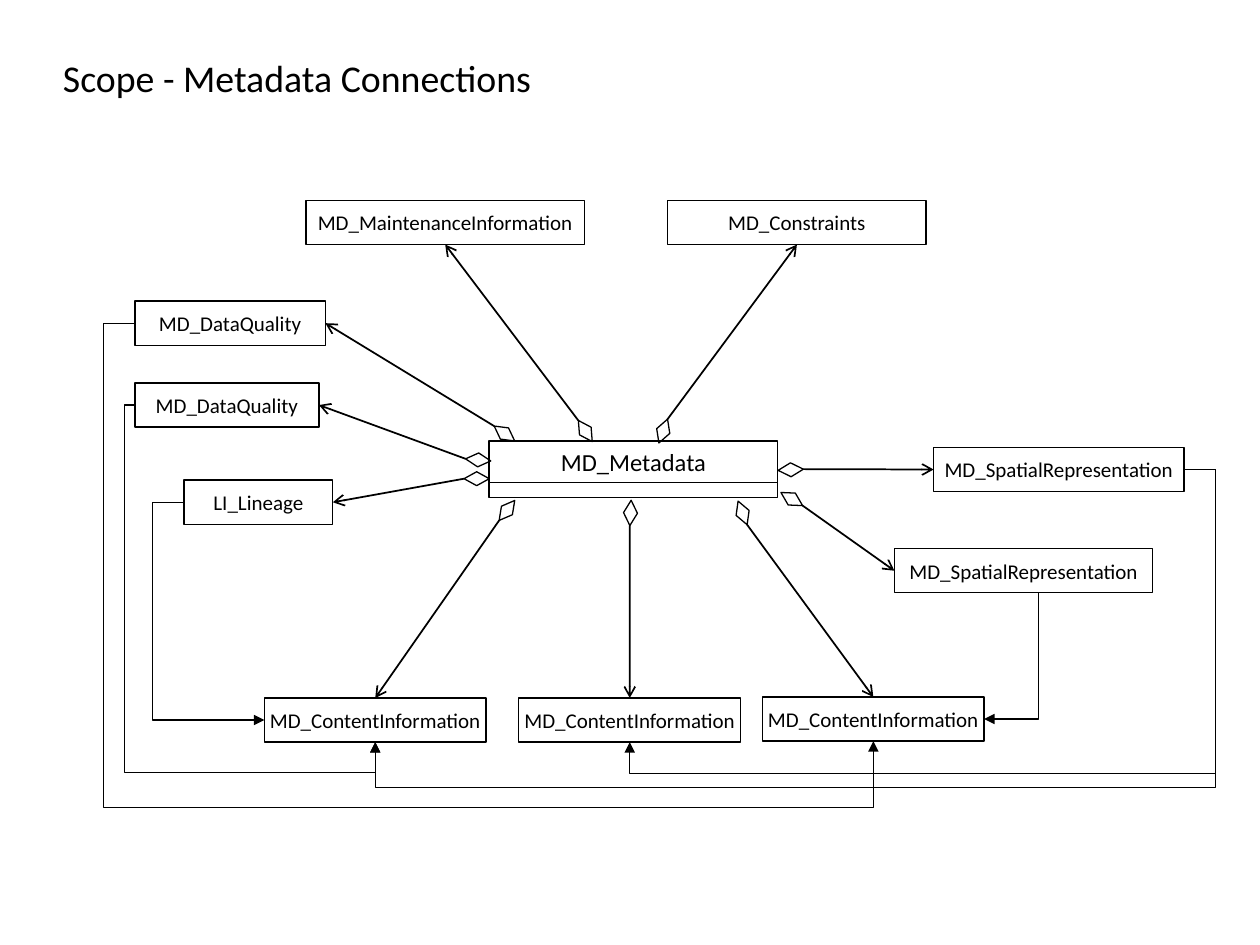
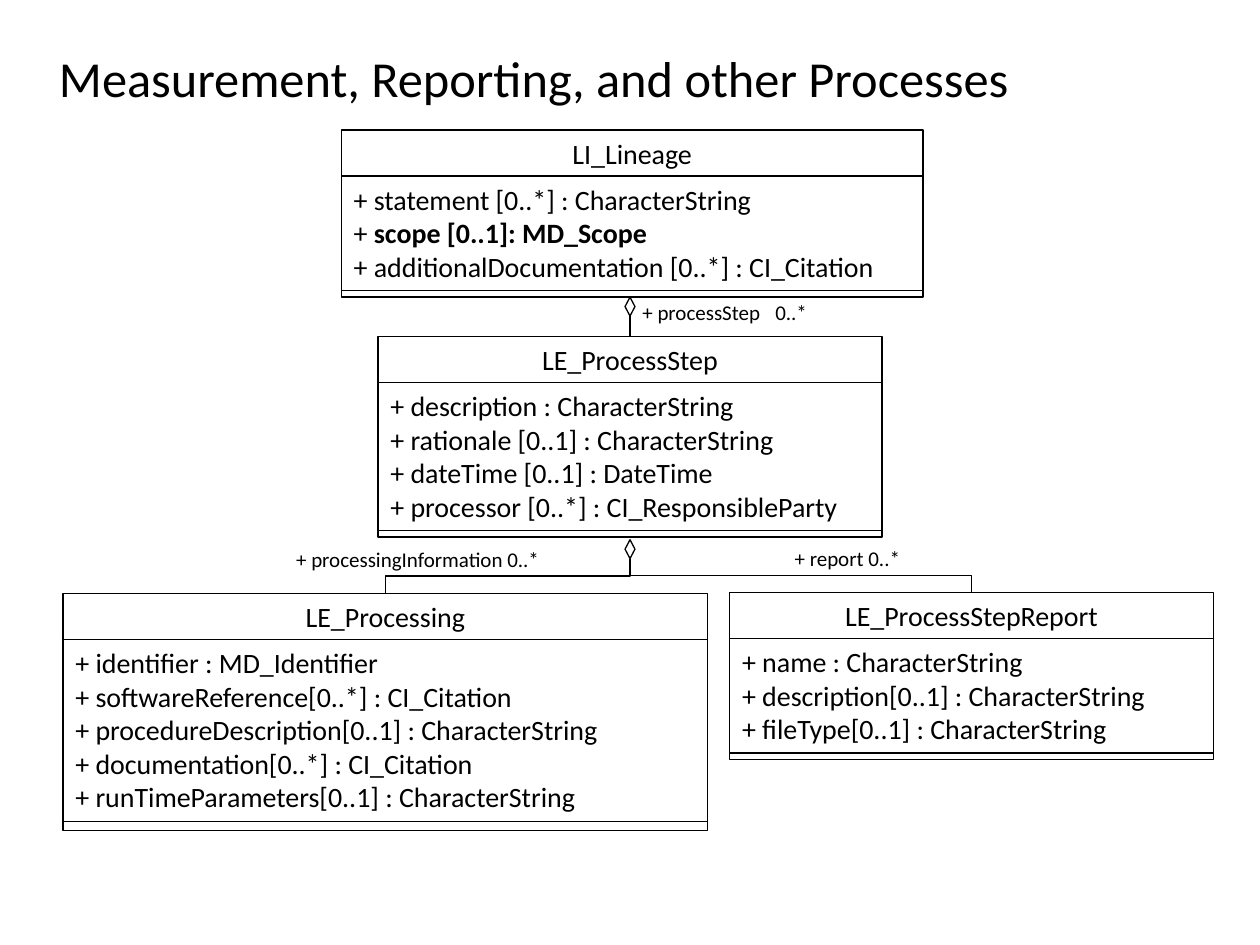
from dataclasses import dataclass
from math import cos, radians, sin

from pptx import Presentation
from pptx.dml.color import RGBColor
from pptx.enum.shapes import MSO_CONNECTOR, MSO_SHAPE
from pptx.enum.text import MSO_ANCHOR, PP_ALIGN
from pptx.oxml.ns import qn
from pptx.util import Cm, Pt

RECT, DIAMOND = MSO_SHAPE.RECTANGLE, MSO_SHAPE.DIAMOND
STRAIGHT, ELBOW = MSO_CONNECTOR.STRAIGHT, MSO_CONNECTOR.ELBOW
TOP, MIDDLE = MSO_ANCHOR.TOP, MSO_ANCHOR.MIDDLE
LEFT, CENTER = PP_ALIGN.LEFT, PP_ALIGN.CENTER

FONT = "Calibri"
BLACK = "000000"
THIN, MEDIUM = 0.75, 1
# Connection sites of a rectangle
N, W, S, E = range(4)

Point = tuple[float, float]


# Lengths in the dataclasses are centimetres
@dataclass
class Box:
    left: float
    top: float
    width: float
    height: float = 0.89
    text: str = ""

    def side(self, site: int) -> Point:
        mid_x, mid_y = self.left + self.width / 2, self.top + self.height / 2
        return {N: (mid_x, self.top), W: (self.left, mid_y),
                S: (mid_x, self.top + self.height),
                E: (self.left + self.width, mid_y)}[site]


@dataclass
class Spoke:
    """Diamond at the hub, with an arrow from its tip to a box side."""
    x: float
    y: float
    angle: float
    target: str
    site: int


@dataclass
class Route:
    """Bent arrow; via_x and via_y place its middle segments."""
    start: str
    start_site: int
    end: str
    end_site: int
    via_x: float
    via_y: float | None = None


@dataclass
class UmlClass:
    left: float
    top: float
    width: float
    name: str
    attributes: list[str]
    foot: float = 0.13
    bold: str = ""


@dataclass
class Label:
    left: float
    top: float
    width: float
    height: float
    text: str
    line_spacing: float = 1.0
    tab: float = 0


# Shared helpers
def rgb(color: str) -> RGBColor:
    return RGBColor.from_string(color)


def add_run(p, text: str, size: float, bold: bool = False) -> None:
    r = p.add_run()
    r.text = text
    r.font.name, r.font.size, r.font.bold = FONT, Pt(size), bold
    r.font.color.rgb = rgb(BLACK)


def outline(line, width: float) -> None:
    line.color.rgb = rgb(BLACK)
    line.width = Pt(width)


def add_outlined(shapes, kind, box: Box):
    sp = shapes.add_shape(kind, Cm(box.left), Cm(box.top), Cm(box.width), Cm(box.height))
    sp.shadow.inherit = False
    sp.fill.background()
    outline(sp.line, THIN)
    return sp


def add_box(shapes, box: Box, size: float = 12, anchor=MIDDLE, wrap: bool = False):
    sp = add_outlined(shapes, RECT, box)
    if box.text:
        tf = sp.text_frame
        tf.word_wrap, tf.vertical_anchor = wrap, anchor
        p = tf.paragraphs[0]
        p.alignment = CENTER
        add_run(p, box.text, size)
    return sp


def add_diamond(s, x: float, y: float, width: float, height: float, angle: float = 0) -> Point:
    """Draw a diamond around its centre and return its tip."""
    sp = add_outlined(s.shapes, DIAMOND, Box(x - width / 2, y - height / 2, width, height))
    sp.rotation = angle
    turn = radians(angle)
    return x + height / 2 * sin(turn), y - height / 2 * cos(turn)


def add_line(s, kind, start: Point, end: Point, width: float, head: str = "", tail: str = ""):
    c = s.shapes.add_connector(kind, *(Cm(v) for v in (*start, *end)))
    outline(c.line, width)
    ln = c.line._get_or_add_ln()
    for tag, arrow in (("a:headEnd", head), ("a:tailEnd", tail)):
        if arrow:
            mark = ln.makeelement(qn(tag), {"type": arrow})
            ln.append(mark)
    sp_pr = c._element.spPr
    sp_pr.append(sp_pr.makeelement(qn("a:effectLst"), {}))
    return c


def bend(c, preset: str, *adjustments: float) -> None:
    geom = c._element.spPr.find(qn("a:prstGeom"))
    geom.set("prst", preset)
    guides = geom.find(qn("a:avLst"))
    for i, value in enumerate(adjustments, 1):
        guide = guides.makeelement(
            qn("a:gd"), {"name": f"adj{i}", "fmla": f"val {round(value * 100000)}"})
        guides.append(guide)


def add_route(s, boxes: dict[str, Box], route: Route) -> None:
    start = boxes[route.start].side(route.start_site)
    end = boxes[route.end].side(route.end_site)
    c = add_line(s, ELBOW, start, end, THIN, tail="triangle")
    adj_x = (route.via_x - start[0]) / (end[0] - start[0])
    if route.via_y is None:
        bend(c, "bentConnector3", adj_x)
    else:
        bend(c, "bentConnector4", adj_x, (route.via_y - start[1]) / (end[1] - start[1]))


def add_branch(s, start: Point, end: Point) -> None:
    """Bent line that leaves and arrives vertically: a quarter-turned elbow."""
    mid_x, mid_y = (start[0] + end[0]) / 2, (start[1] + end[1]) / 2
    half_x, half_y = (end[0] - start[0]) / 2, (end[1] - start[1]) / 2
    c = add_line(s, ELBOW, (mid_x - half_y, mid_y + half_x),
                 (mid_x + half_y, mid_y - half_x), MEDIUM)
    bend(c, "bentConnector3", 0.5)
    c._element.spPr.find(qn("a:xfrm")).set("rot", str(90 * 60000))


def add_text_box(s, left: float, top: float, width: float, height: float):
    tf = s.shapes.add_textbox(Cm(left), Cm(top), Cm(width), Cm(height)).text_frame
    tf.word_wrap = True
    return tf


def add_title(s, text: str, box: Box, size: float) -> None:
    tf = add_text_box(s, box.left, box.top, box.width, box.height)
    tf.vertical_anchor = MIDDLE
    add_run(tf.paragraphs[0], text, size)


def add_label(s, label: Label) -> None:
    tf = add_text_box(s, label.left, label.top, label.width, label.height)
    p = tf.paragraphs[0]
    p.line_spacing = label.line_spacing
    if label.tab:
        p_pr = p._p.get_or_add_pPr()
        tabs = p_pr.makeelement(qn("a:tabLst"), {})
        tabs.append(tabs.makeelement(qn("a:tab"), {"pos": str(Cm(label.tab)), "algn": "l"}))
        p_pr.append(tabs)
    add_run(p, label.text, 12)


def add_class(s, uml: UmlClass):
    """Draw header, attribute and foot compartments; return the header."""
    shapes = s.shapes.add_group_shape().shapes
    header = Box(uml.left, uml.top, uml.width, 0.93, uml.name)
    body = Box(uml.left, uml.top + header.height, uml.width, 0.27 + 0.68 * len(uml.attributes))
    foot = Box(uml.left, body.top + body.height, uml.width, uml.foot)
    header_shape = add_box(shapes, header, 16, TOP, True)
    tf = add_box(shapes, body).text_frame
    tf.word_wrap, tf.vertical_anchor = True, TOP
    for i, attribute in enumerate(uml.attributes):
        p = tf.add_paragraph() if i else tf.paragraphs[0]
        p.alignment = LEFT
        add_run(p, "+ ", 16)
        add_run(p, attribute, 16, attribute == uml.bold)
    add_box(shapes, foot)
    return header_shape


# Slide 1: classes around MD_Metadata
CONTENT, SPATIAL, QUALITY = "MD_ContentInformation", "MD_SpatialRepresentation", "MD_DataQuality"
BOXES = {
    "maintenance": Box(6.17, 4.04, 5.61, text="MD_MaintenanceInformation"),
    "constraints": Box(13.46, 4.04, 5.21, text="MD_Constraints"),
    "quality_upper": Box(2.72, 6.07, 3.84, text=QUALITY),
    "quality_lower": Box(2.72, 7.72, 3.71, text=QUALITY),
    "lineage": Box(3.71, 9.68, 3, text="LI_Lineage"),
    "spatial_upper": Box(18.82, 9.02, 5.05, text=SPATIAL),
    "spatial_lower": Box(18.03, 11.06, 5.21, text=SPATIAL),
    "content_left": Box(5.33, 14.07, 4.47, text=CONTENT),
    "content_middle": Box(10.46, 14.07, 4.47, text=CONTENT),
    "content_right": Box(15.37, 14.05, 4.47, text=CONTENT),
}
SPOKES = [
    Spoke(15.94, 9.47, 87.2, "spatial_upper", W),
    Spoke(11.8, 8.69, 326.6, "maintenance", S),
    Spoke(15.96, 10.06, 121.1, "spatial_lower", W),
    Spoke(14.97, 10.34, 159, "content_right", N),
    Spoke(12.71, 10.34, 183, "content_middle", N),
    Spoke(10.22, 10.29, 218, "content_left", N),
    Spoke(9.61, 9.65, 270, "lineage", E),
    Spoke(10.17, 8.74, 306, "quality_upper", E),
    Spoke(9.64, 9.27, 274.7, "quality_lower", E),
    Spoke(13.37, 8.69, 20, "constraints", S),
]
ROUTES = [
    Route("spatial_upper", E, "content_middle", S, 24.51, 15.6),
    Route("spatial_upper", E, "content_left", S, 24.51, 15.88),
    Route("quality_upper", W, "content_right", S, 2.08, 16.28),
    Route("quality_lower", W, "content_left", S, 2.51, 15.57),
    Route("lineage", W, "content_left", W, 3.07),
]


def build_connections(s) -> None:
    add_title(s, "Scope - Metadata Connections", Box(1.02, 1.07, 16.31, 0.97), 21.6)
    drawn = {key: add_box(s.shapes, box) for key, box in BOXES.items()}

    # Hub with two compartments
    hub = s.shapes.add_group_shape().shapes
    add_box(hub, Box(9.86, 8.89, 5.82, 0.84, "MD_Metadata"), 14, TOP, True)
    add_box(hub, Box(9.86, 9.73, 5.82, 0.3))

    for spoke in SPOKES:
        tip = add_diamond(s, spoke.x, spoke.y, 0.28, 0.51, spoke.angle)
        target = BOXES[spoke.target].side(spoke.site)
        c = add_line(s, STRAIGHT, tip, target, MEDIUM, tail="arrow")
        c.end_connect(drawn[spoke.target], spoke.site)

    for route in ROUTES:
        add_route(s, BOXES, route)
    # Single-corner arrow, drawn from its arrowhead
    corner = add_line(s, ELBOW, BOXES["content_right"].side(E),
                      (20.93, BOXES["spatial_lower"].side(S)[1]), THIN, head="triangle")
    bend(corner, "bentConnector2")


# Slide 2: lineage class diagram
LINEAGE = UmlClass(6.88, 2.62, 11.73, "LI_Lineage", [
    "statement [0..*] : CharacterString", "scope [0..1]: MD_Scope",
    "additionalDocumentation [0..*] : CI_Citation"], bold="scope [0..1]: MD_Scope")
STEP = UmlClass(7.62, 6.78, 10.16, "LE_ProcessStep", [
    "description : CharacterString", "rationale [0..1] : CharacterString",
    "dateTime [0..1] : DateTime", "processor [0..*] : CI_ResponsibleParty"])
REPORT = UmlClass(14.71, 11.94, 9.75, "LE_ProcessStepReport", [
    "name : CharacterString", "description[0..1] : CharacterString",
    "fileType[0..1] : CharacterString"])
PROCESSING = UmlClass(1.27, 11.96, 13, "LE_Processing", [
    "identifier : MD_Identifier", "softwareReference[0..*] : CI_Citation",
    "procedureDescription[0..1] : CharacterString", "documentation[0..*] : CI_Citation",
    "runTimeParameters[0..1] : CharacterString"], foot=0.18)
LABELS = [
    Label(12.7, 5.92, 4.95, 0.76, "+ processStep\t0..*", tab=2.68),
    Label(15.77, 10.87, 3.4, 0.76, "+ report 0..*"),
    Label(5.72, 11.07, 5.46, 0.56, "+ processingInformation 0..*", 0.6),
]


def build_processes(s) -> None:
    add_title(s, "Measurement, Reporting, and other Processes", Box(0.94, 0.97, 22.45, 1.17), 28.8)
    headers = {uml.name: add_class(s, uml) for uml in (LINEAGE, STEP, REPORT, PROCESSING)}

    # Aggregations hang from the diamonds' lower tips
    axis = 12.7
    tip = add_diamond(s, axis, 6.18, 0.2, 0.38, 180)
    c = add_line(s, STRAIGHT, tip, (axis, STEP.top), MEDIUM)
    c.end_connect(headers[STEP.name], N)
    tip = add_diamond(s, axis, 11.07, 0.2, 0.38, 180)
    for part in (REPORT, PROCESSING):
        add_branch(s, tip, (part.left + part.width / 2, part.top))

    for label in LABELS:
        add_label(s, label)


def main() -> None:
    prs = Presentation()
    prs.slide_width, prs.slide_height = Cm(25.4), Cm(19.05)
    for build in (build_connections, build_processes):
        build(prs.slides.add_slide(prs.slide_layouts[6]))
    prs.save("out.pptx")


if __name__ == "__main__":
    main()
